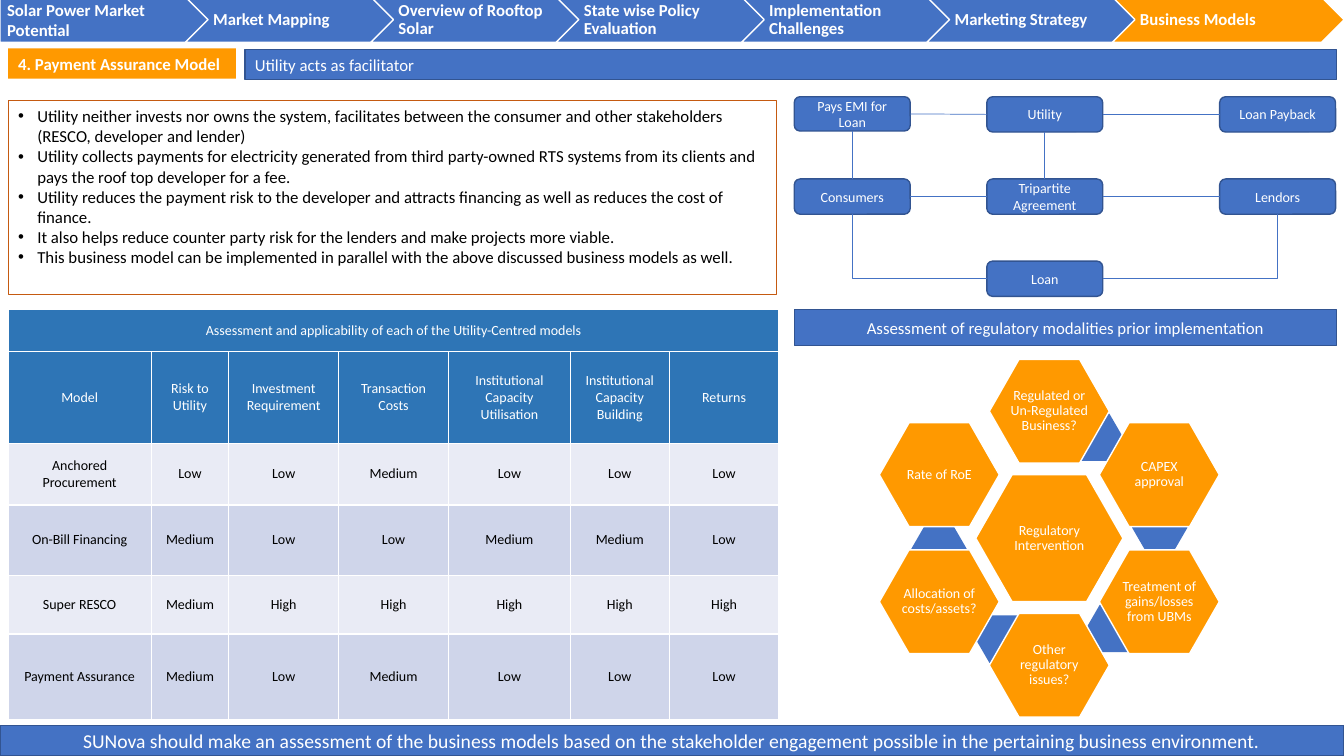
from dataclasses import dataclass
from math import cos, radians, sin

from lxml import etree
from pptx import Presentation
from pptx.dml.color import RGBColor
from pptx.enum.shapes import MSO_CONNECTOR, MSO_SHAPE
from pptx.enum.text import MSO_ANCHOR, MSO_AUTO_SIZE, PP_ALIGN
from pptx.oxml.ns import qn
from pptx.util import Inches, Pt

RECTANGLE = MSO_SHAPE.RECTANGLE
ROUNDED = MSO_SHAPE.ROUNDED_RECTANGLE
HEXAGON = MSO_SHAPE.HEXAGON
CHEVRON = MSO_SHAPE.CHEVRON
PENTAGON = MSO_SHAPE.PENTAGON
STRAIGHT = MSO_CONNECTOR.STRAIGHT
ELBOW = MSO_CONNECTOR.ELBOW
LEFT = PP_ALIGN.LEFT
CENTER = PP_ALIGN.CENTER
TOP = MSO_ANCHOR.TOP
MIDDLE = MSO_ANCHOR.MIDDLE
NO_RESIZE = MSO_AUTO_SIZE.NONE
SIDE_TOP, SIDE_LEFT, SIDE_BOTTOM, SIDE_RIGHT = range(4)


@dataclass(frozen=True)
class Theme:
    font: str = "Calibri"
    small: int = 10
    normal: int = 12
    large: int = 14
    blue: str = "4472C4"
    edge: str = "325491"
    orange: str = "FF9900"
    rust: str = "C55A11"
    header: str = "2E75B6"
    bands: tuple = ("E9EBF5", "CFD5EA")
    white: str = "FFFFFF"
    black: str = "000000"


class SlideBuilder:
    def __init__(self, deck, theme):
        self.theme = theme
        self.page = deck.slides.add_slide(deck.slide_layouts[1])
        self.column = deck.slide_width / 133.33
        self.row = deck.slide_height / 75

    def place(self, left, top, width, height):
        return (round(left * self.column), round(top * self.row),
                round(width * self.column), round(height * self.row))

    def fill_text(self, frame, text, size, color, align=CENTER, bold=False, spacing=None):
        frame.text = text
        for para in frame.paragraphs:
            para.alignment = align
            para.line_spacing = spacing
            for span in para.runs:
                span.font.name = self.theme.font
                span.font.size = Pt(size)
                span.font.bold = bold
                span.font.color.rgb = RGBColor.from_string(color)

    def paint(self, shape, fill=None, line=None, weight=1):
        if fill:
            shape.fill.solid()
            shape.fill.fore_color.rgb = RGBColor.from_string(fill)
        else:
            shape.fill.background()
        if line:
            shape.line.color.rgb = RGBColor.from_string(line)
            shape.line.width = Pt(weight)
        else:
            shape.line.fill.background()

    def placeholder(self, index, area, text, color, bold=False):
        box = self.page.placeholders[index]
        box.left, box.top, box.width, box.height = self.place(*area)
        frame = box.text_frame
        frame.auto_size = NO_RESIZE
        frame.vertical_anchor = TOP
        self.fill_text(frame, text, self.theme.normal, color, LEFT, bold)
        return box

    def title(self, area, text):
        box = self.placeholder(0, area, text, self.theme.white, True)
        self.paint(box, self.theme.orange)

    def bullets(self, area, items):
        box = self.placeholder(1, area, "\n".join(items), self.theme.black)
        self.paint(box, line=self.theme.rust, weight=0.75)
        for para in box.text_frame.paragraphs:
            para.space_before = Pt(0)
            properties = para._p.get_or_add_pPr()
            properties.set("marL", str(Inches(0.19)))
            properties.set("indent", str(-Inches(0.19)))
            etree.SubElement(properties, qn("a:buChar")).set("char", "•")

    def shape(self, kind, area, fill, line=None, text="", size=12, align=CENTER,
              bold=False, spacing=None, insets=None, adjust=None):
        shape = self.page.shapes.add_shape(kind, *self.place(*area))
        shape.shadow.inherit = False
        self.paint(shape, fill, line)
        if adjust:
            shape.adjustments[0] = adjust
        if text:
            frame = shape.text_frame
            frame.word_wrap = True
            frame.vertical_anchor = MIDDLE
            if insets:
                (frame.margin_left, frame.margin_top, frame.margin_right,
                 frame.margin_bottom) = map(Inches, insets)
            self.fill_text(frame, text, size, self.theme.white, align, bold, spacing)
        return shape

    def bar(self, area, text, size, align=CENTER):
        return self.shape(RECTANGLE, area, self.theme.blue, self.theme.edge, text, size, align)

    def hexagon(self, center, width, height, fill, line=None, text="", adjust=0.286):
        area = (center[0] - width / 2, center[1] - height / 2, width, height)
        self.shape(HEXAGON, area, fill, line, text, self.theme.small,
                   spacing=0.9, insets=(0.01,) * 4, adjust=adjust)

    def link(self, start, start_side, end, end_side, kind=STRAIGHT):
        line = self.page.shapes.add_connector(kind, 0, 0, 0, 0)
        line.begin_connect(start, start_side)
        line.end_connect(end, end_side)
        line.line.color.rgb = RGBColor.from_string(self.theme.blue)
        line.line.width = Pt(0.5)
        properties = line._element.spPr
        etree.SubElement(properties, qn("a:effectLst"))
        if kind == ELBOW:
            properties.find(qn("a:prstGeom")).set("prst", "bentConnector2")

    def cell(self, cell, text, fill, color):
        properties = cell._tc.get_or_add_tcPr()
        for side in ("lnL", "lnR", "lnT", "lnB"):
            border = etree.SubElement(properties, qn(f"a:{side}"), w=str(Pt(1)))
            solid = etree.SubElement(border, qn("a:solidFill"))
            etree.SubElement(solid, qn("a:srgbClr"), val=self.theme.white)
        cell.fill.solid()
        cell.fill.fore_color.rgb = RGBColor.from_string(fill)
        cell.vertical_anchor = MIDDLE
        self.fill_text(cell.text_frame, text, self.theme.small, color)

    def table(self, left, top, widths, heights, caption, rows):
        area = self.place(left, top, sum(widths), sum(heights))
        table = self.page.shapes.add_table(len(heights), len(widths), *area).table
        table.first_row = table.horz_banding = False
        for column, width in zip(table.columns, widths):
            column.width = round(width * self.column)
        for row, height in zip(table.rows, heights):
            row.height = round(height * self.row)
        blank = [""] * (len(widths) - 1)
        for r, texts in enumerate([[caption] + blank] + rows):
            heading = r < 2
            fill = self.theme.header if heading else self.theme.bands[r % 2]
            color = self.theme.white if heading else self.theme.black
            for c, text in enumerate(texts):
                self.cell(table.cell(r, c), text, fill, color)
        table.cell(0, 0).merge(table.cell(0, len(widths) - 1))


def add_navigation(slide, theme):
    steps = ["Solar Power Market\nPotential", "Market Mapping", "Overview of Rooftop Solar",
             "State wise Policy Evaluation", "Implementation Challenges",
             "Marketing Strategy", "Business Models"]
    for i, step in enumerate(steps):
        first, last = i == 0, i == len(steps) - 1
        slide.shape(PENTAGON if first else CHEVRON, (18.39 * i, -0.3, 23, 4.5),
                    theme.orange if last else theme.blue, theme.white, step, theme.normal,
                    LEFT, True, 1.0 if first else 0.9,
                    (0.07 if first else 0.05, 0.04, 0.02, 0.04))


def add_payment_flow(slide, theme):
    lefts, tops = (78.8, 97.9, 121), (9.6, 17.75, 25.9)
    cells = {"Pays EMI for Loan": (0, 0), "Utility": (1, 0), "Loan Payback": (2, 0),
             "Consumers": (0, 1), "Tripartite Agreement": (1, 1), "Lendors": (2, 1),
             "Loan": (1, 2)}
    pays, utility, payback, consumers, agreement, lenders, loan = [
        slide.shape(ROUNDED, (lefts[c], tops[r], 11.5, 3.4 if c == r == 0 else 3.5),
                    theme.blue, theme.edge, text, theme.small)
        for text, (c, r) in cells.items()]
    for upper, lower in ((pays, consumers), (utility, agreement)):
        slide.link(upper, SIDE_BOTTOM, lower, SIDE_TOP)
    for near, far in ((pays, utility), (utility, payback),
                      (consumers, agreement), (agreement, lenders)):
        slide.link(near, SIDE_RIGHT, far, SIDE_LEFT)
    slide.link(loan, SIDE_LEFT, consumers, SIDE_BOTTOM, ELBOW)
    slide.link(loan, SIDE_RIGHT, lenders, SIDE_BOTTOM, ELBOW)


def add_regulation_ring(slide, theme):
    hub = (104.1, 53.4)

    def on_ring(radius, degrees):
        angle = radians(degrees)
        return hub[0] + radius * sin(angle), hub[1] - radius * cos(angle)

    topics = ["Regulated or Un-Regulated Business?", "CAPEX approval",
              "Treatment of gains/losses from UBMs", "Other regulatory issues?",
              "Allocation of costs/assets?", "Rate of RoE"]
    slide.hexagon(hub, 14.6, 12.6, theme.orange, theme.white, "Regulatory Intervention")
    for i in range(len(topics) - 1):
        slide.hexagon(on_ring(11, 24.5 + 60 * i), 5.5, 4.7, theme.blue, adjust=0.289)
    for i, topic in enumerate(topics):
        slide.hexagon(on_ring(12.6, 60 * i), 11.9, 10.3, theme.orange, theme.white, topic)


def main():
    theme = Theme()
    deck = Presentation()
    deck.slide_width, deck.slide_height = Inches(13.33), Inches(7.5)
    slide = SlideBuilder(deck, theme)
    slide.title((0.8, 4.8, 22.6, 3), "4. Payment Assurance Model")
    slide.bullets((0.8, 10, 76.2, 19.2), [
        "Utility neither invests nor owns the system, facilitates between the consumer and other stakeholders (RESCO, developer and lender)",
        "Utility collects payments for electricity generated from third party-owned RTS systems from its clients and pays the roof top developer for a fee.",
        "Utility reduces the payment risk to the developer and attracts financing as well as reduces the cost of finance.",
        "It also helps reduce counter party risk for the lenders and make projects more viable.",
        "This business model can be implemented in parallel with the above discussed business models as well."])
    add_payment_flow(slide, theme)
    slide.bar((24.3, 4.9, 108.3, 3), "Utility acts as facilitator", theme.normal, LEFT)
    slide.table(0.8, 30.7, (14.2, 7.7, 10.9, 10.9, 12.1, 9.8, 10.9),
                (4.2, 9.1, 6.1, 7, 5.8, 8.5),
                "Assessment and applicability of each of the Utility-Centred models", [
        ["Model", "Risk to Utility", "Investment Requirement", "Transaction Costs",
         "Institutional Capacity Utilisation", "Institutional Capacity Building", "Returns"],
        ["Anchored Procurement", "Low", "Low", "Medium", "Low", "Low", "Low"],
        ["On-Bill Financing", "Medium", "Low", "Low", "Medium", "Medium", "Low"],
        ["Super RESCO", "Medium", "High", "High", "High", "High", "High"],
        ["Payment Assurance", "Medium", "Low", "Medium", "Low", "Low", "Low"]])
    slide.bar((78.8, 30.7, 53.8, 3.6),
              "Assessment of regulatory modalities prior implementation", theme.normal)
    add_regulation_ring(slide, theme)
    add_navigation(slide, theme)
    slide.bar((0, 72, 133.33, 3),
              "SUNova should make an assessment of the business models based on the stakeholder engagement possible in the pertaining business environment.",
              theme.large)
    deck.save("out.pptx")


if __name__ == "__main__":
    main()
